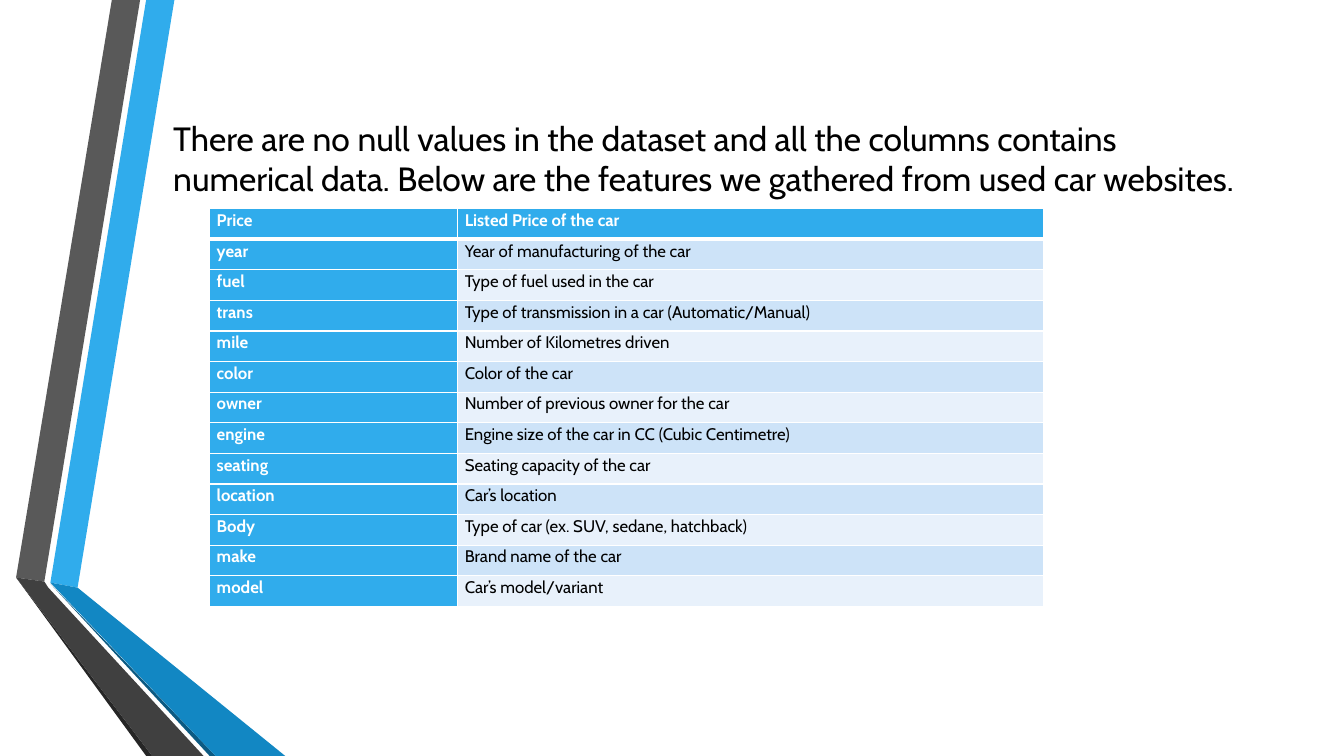
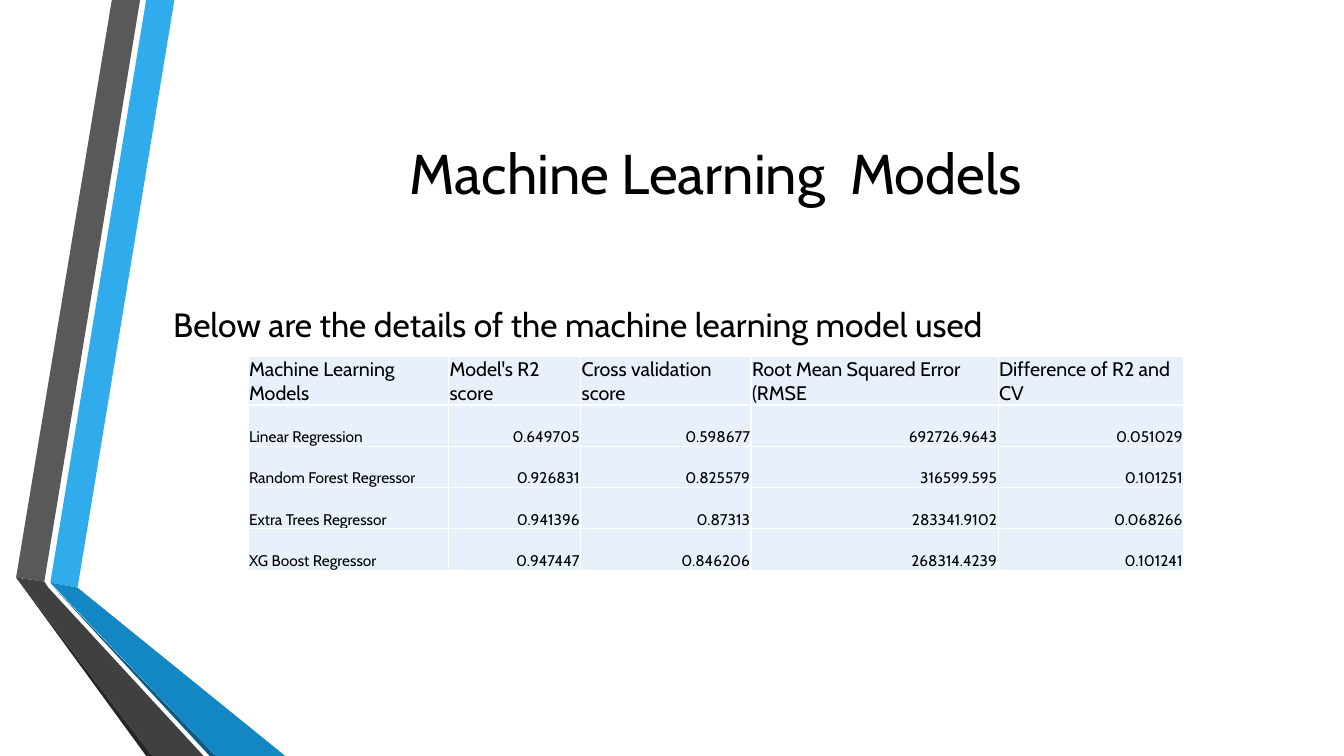
from lxml import etree
from pptx import Presentation
from pptx.dml.color import RGBColor
from pptx.enum import text
from pptx.oxml import ns
from pptx.util import Inches, Pt

FONT = "Cabin"
BLACK, WHITE = "000000", "FFFFFF"
BLUE, PALE_BLUE, LIGHT_BLUE = "30ACEC", "E8F1FB", "CDE3F8"
LEFT, WIDTH = 1.62, 10.96
BANDS = [
    (BLUE, [(0.5, 5.78), (0.77, 5.83), (1.73, 0), (1.45, 0)]),
    ("595959", [(1.39, 0), (1.11, 0), (0.16, 5.73), (0.44, 5.77)]),
    ("262626", [(0.16, 5.73), (1.45, 7.5), (1.51, 7.5)]),
    ("0C5A82", [(0.5, 5.79), (2.08, 7.5), (2.14, 7.5)]),
    ("1287C3", [(0.5, 5.78), (2.14, 7.5), (2.83, 7.5), (0.77, 5.83)]),
    ("404040", [(2.02, 7.5), (0.48, 5.83), (0.44, 5.77), (0.16, 5.73), (1.51, 7.5)]),
]
FEATURES = [
    ("Price", "Listed Price of the car"),
    ("year", "Year of manufacturing of the car"),
    ("fuel", "Type of fuel used in the car"),
    ("trans", "Type of transmission in a car (Automatic/Manual)"),
    ("mile", "Number of Kilometres driven"),
    ("color", "Color of the car"),
    ("owner", "Number of previous owner for the car"),
    ("engine", "Engine size of the car in CC (Cubic Centimetre)"),
    ("seating", "Seating capacity of the car"),
    ("location", "Car’s location"),
    ("Body", "Type of car (ex. SUV, sedane, hatchback)"),
    ("make", "Brand name of the car"),
    ("model", "Car’s model/variant"),
]
SCORES = [
    ("Machine Learning Models", "Model's R2 score", "Cross validation score",
     "Root Mean Squared Error (RMSE", "Difference of R2 and CV"),
    ("Linear Regression", "0.649705", "0.598677", "692726.9643", "0.051029"),
    ("Random Forest Regressor", "0.926831", "0.825579", "316599.595", "0.101251"),
    ("Extra Trees Regressor", "0.941396", "0.87313", "283341.9102", "0.068266"),
    ("XG Boost Regressor", "0.947447", "0.846206", "268314.4239", "0.101241"),
]


def rgb(value):
    """Turn a hex string into a colour."""
    return RGBColor.from_string(value)


def style_paragraph(paragraph, size, color=BLACK, bold=False, align=text.PP_ALIGN.LEFT):
    """Set the font and alignment of a paragraph."""
    paragraph.alignment = align
    font = paragraph.font
    font.name, font.size, font.bold = FONT, Pt(size), bold
    font.color.rgb = rgb(color)


def add_band(slide, color, points):
    """Draw one filled outline of the folded ribbon."""
    corners = [(Inches(x), Inches(y)) for x, y in points]
    builder = slide.shapes.build_freeform(*corners[0])
    builder.add_line_segments(corners[1:], close=True)
    shape = builder.convert_to_shape()
    shape.shadow.inherit = False
    shape.fill.solid()
    shape.fill.fore_color.rgb = rgb(color)
    shape.line.fill.background()


def add_slide(presentation):
    """Add a blank slide with the ribbon at its left."""
    slide = presentation.slides.add_slide(presentation.slide_layouts[6])
    for color, points in BANDS:
        add_band(slide, color, points)
    return slide


def add_text(slide, content, top, height, size=24, align=text.PP_ALIGN.LEFT):
    """Add a text box across the content column."""
    box = slide.shapes.add_textbox(Inches(LEFT), Inches(top), Inches(WIDTH), Inches(height))
    frame = box.text_frame
    frame.word_wrap = True
    frame.vertical_anchor = text.MSO_ANCHOR.MIDDLE
    frame.text = content
    style_paragraph(frame.paragraphs[0], size, align=align)


def add_borders(cell, top=1, bottom=1):
    """Give a cell white borders, with widths in points."""
    properties = cell._tc.get_or_add_tcPr()
    for side, width in zip("LRTB", (1, 1, top, bottom)):
        line = etree.SubElement(properties, ns.qn(f"a:ln{side}"), w=str(Pt(width)))
        fill = etree.SubElement(line, ns.qn("a:solidFill"))
        etree.SubElement(fill, ns.qn("a:srgbClr"), val=WHITE)


def add_table(slide, rows, left, top, widths, heights, style_cell):
    """Add a table whose cells are styled by a function of row and column."""
    frame = slide.shapes.add_table(len(rows), len(widths), Inches(left), Inches(top),
                                   Inches(sum(widths)), Inches(sum(heights)))
    table = frame.table
    table.first_row = table.horz_banding = False
    for column, width in zip(table.columns, widths):
        column.width = Inches(width)
    for row, height in zip(table.rows, heights):
        row.height = Inches(height)
    for row_index, values in enumerate(rows):
        for column_index, value in enumerate(values):
            cell = table.cell(row_index, column_index)
            cell.text = value
            style_cell(cell, row_index, column_index)


def finish_cell(cell, fill, margins, anchor):
    """Set the fill, margins and anchor of a cell."""
    cell.fill.solid()
    cell.fill.fore_color.rgb = rgb(fill)
    cell.margin_left, cell.margin_top, cell.margin_right, cell.margin_bottom = map(Inches, margins)
    cell.vertical_anchor = anchor


def style_feature(cell, row, column):
    """Style a cell of the feature table."""
    heading = row == 0 or column == 0
    fill = BLUE if heading else (LIGHT_BLUE if row % 2 else PALE_BLUE)
    add_borders(cell, top=3 if row == 1 else 1, bottom=3 if row == 0 else 1)
    finish_cell(cell, fill, (0.07, 0, 0.07, 0), text.MSO_ANCHOR.TOP)
    paragraph = cell.text_frame.paragraphs[0]
    paragraph.line_spacing = 1.07
    style_paragraph(paragraph, 12, WHITE if heading else BLACK, heading, text.PP_ALIGN.JUSTIFY)


def style_score(cell, row, column):
    """Style a cell of the score table."""
    add_borders(cell)
    finish_cell(cell, PALE_BLUE, (0.01, 0.01, 0.01, 0), text.MSO_ANCHOR.BOTTOM)
    align = text.PP_ALIGN.RIGHT if row and column else text.PP_ALIGN.LEFT
    style_paragraph(cell.text_frame.paragraphs[0], 11 if row else 14, align=align)


def add_features_slide(presentation):
    """Build the slide that lists the features."""
    slide = add_slide(presentation)
    add_text(slide, "There are no null values in the dataset and all the columns contains "
             "numerical data. Below are the features we gathered from used car websites.",
             1.11, 0.91)
    add_table(slide, FEATURES, 2.08, 2.07, [2.46, 5.81],
              [3.95 / len(FEATURES)] * len(FEATURES), style_feature)


def add_models_slide(presentation):
    """Build the slide that compares the models."""
    slide = add_slide(presentation)
    add_text(slide, "Machine Learning  Models", 0.75, 1.92, 40, text.PP_ALIGN.CENTER)
    add_text(slide, "Below are the details of the machine learning model used", 2.97, 0.5)
    add_table(slide, SCORES, 2.46, 3.54, [1.99, 1.31, 1.69, 2.45, 1.84],
              [0.47] + [0.41] * (len(SCORES) - 1), style_score)


def main():
    """Build and save the presentation."""
    presentation = Presentation()
    presentation.slide_width, presentation.slide_height = Inches(13.33), Inches(7.5)
    add_features_slide(presentation)
    add_models_slide(presentation)
    presentation.save("out.pptx")


if __name__ == "__main__":
    main()
